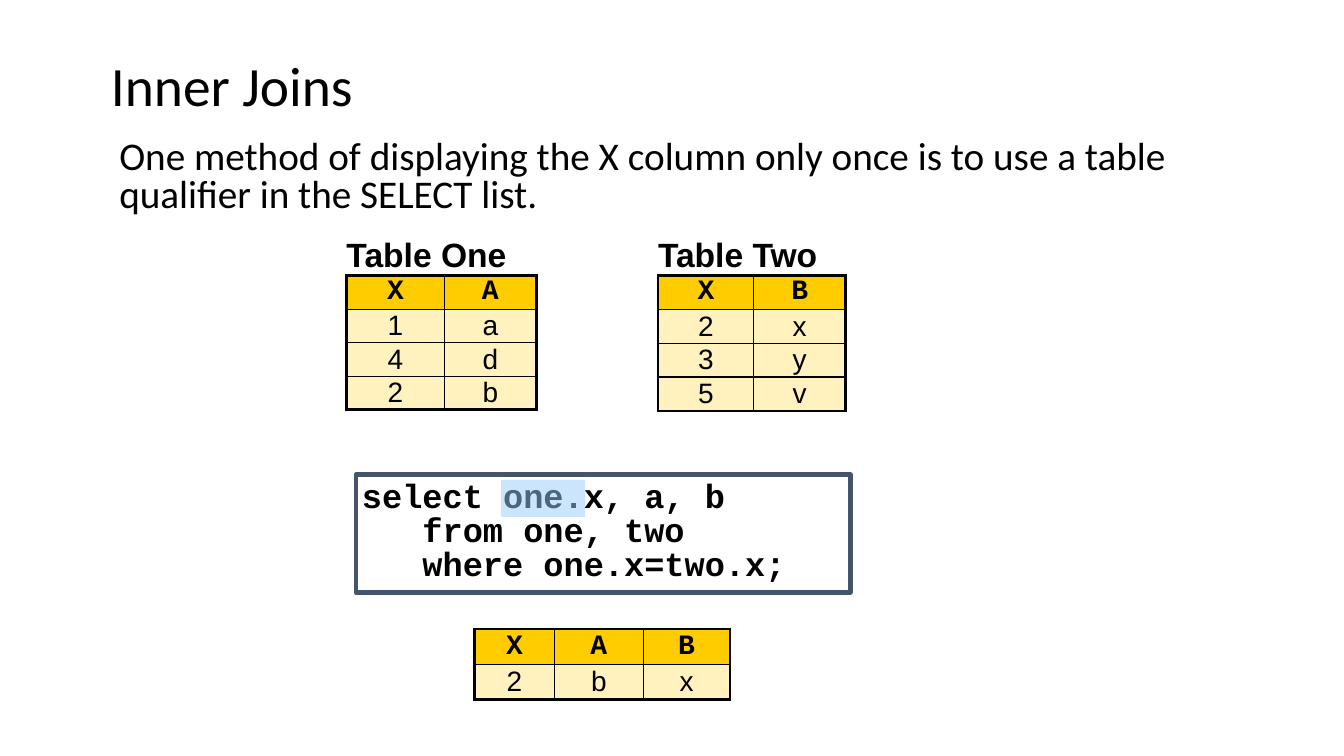
from lxml.etree import SubElement
from pptx import Presentation
from pptx.dml.color import RGBColor
from pptx.enum.shapes import MSO_SHAPE
from pptx.enum.text import MSO_ANCHOR, MSO_AUTO_SIZE, PP_ALIGN
from pptx.oxml.ns import qn
from pptx.util import Pt

BLACK = "000000"
GOLD = "FFCC00"
CREAM = "FFF2BE"


def color(code):
    return RGBColor.from_string(code)


def text(frame, words, size=20, face="Arial", bold=False, align=PP_ALIGN.LEFT,
         space=1.0, anchor=MSO_ANCHOR.TOP):
    frame.word_wrap = True
    frame.vertical_anchor = anchor
    for index, line in enumerate(words.split("\n")):
        para = frame.add_paragraph() if index else frame.paragraphs[0]
        para.alignment = align
        para.line_spacing = space
        para.space_before = Pt(0)
        run = para.add_run()
        run.text = line
        run.font.size = Pt(size)
        run.font.name = face
        run.font.bold = bold
        run.font.color.rgb = color(BLACK)


def place(shape, box):
    shape.left, shape.top, shape.width, shape.height = map(Pt, box)


def holder(shape, box, words, **style):
    place(shape, box)
    shape.text_frame.auto_size = MSO_AUTO_SIZE.NONE
    props = shape.text_frame.paragraphs[0]._p.get_or_add_pPr()
    props.set("marL", "0")
    props.set("indent", "0")
    SubElement(props, qn("a:buNone"))
    text(shape.text_frame, words, face="Calibri", **style)


def rect(slide, box, fill, line=None):
    shape = slide.shapes.add_shape(MSO_SHAPE.RECTANGLE, *map(Pt, box))
    shape.shadow.inherit = False
    shape.fill.solid()
    shape.fill.fore_color.rgb = color(fill)
    if line:
        shape.line.color.rgb = color(line)
        shape.line.width = Pt(3)
    else:
        shape.line.fill.background()
    return shape


def border(cell, widths):
    props = cell._tc.get_or_add_tcPr()
    for side, width in zip("LRTB", widths):
        line = SubElement(props, qn(f"a:ln{side}"), w=str(Pt(width)))
        if width:
            fill = SubElement(line, qn("a:solidFill"))
            SubElement(fill, qn("a:srgbClr"), val=BLACK)
        else:
            SubElement(line, qn("a:noFill"))


def inset(cell, side):
    cell.margin_left = cell.margin_right = Pt(side)
    cell.margin_top = cell.margin_bottom = Pt(0)


def grid(slide, left, top, cols, height, caption, rows):
    tall = [28.8] + [height] * len(rows)
    frame = slide.shapes.add_table(len(tall), len(cols), Pt(left), Pt(top),
                                   Pt(sum(cols)), Pt(sum(tall)))
    table = frame.table
    table.first_row = table.horz_banding = False
    for col, width in zip(table.columns, cols):
        col.width = Pt(width)
    for row, size in zip(table.rows, tall):
        row.height = Pt(size)

    for c in range(len(cols)):
        head = table.cell(0, c)
        inset(head, 0)
        border(head, (0, 0, 0, 2.25))
        head.fill.background()
    table.cell(0, 0).merge(table.cell(0, len(cols) - 1))
    if caption:
        text(table.cell(0, 0).text_frame, caption, size=24, bold=True)
    table.cell(0, 0).vertical_anchor = MSO_ANCHOR.MIDDLE

    for r, row in enumerate(rows):
        first = r == 0
        for c, value in enumerate(row):
            cell = table.cell(r + 1, c)
            edges = (c == 0, c == len(cols) - 1, first, r == len(rows) - 1)
            inset(cell, 7.2)
            border(cell, [2.25 if edge else 1 for edge in edges])
            cell.fill.solid()
            cell.fill.fore_color.rgb = color(GOLD if first else CREAM)
            text(cell.text_frame, value, bold=first, align=PP_ALIGN.CENTER,
                 face="Courier New" if first else "Arial")
            cell.vertical_anchor = MSO_ANCHOR.MIDDLE


def code(slide, box, words):
    shape = rect(slide, box, "FFFFFF", line="44546A")
    frame = shape.text_frame
    frame.margin_left = frame.margin_right = Pt(4.5)
    frame.margin_top = frame.margin_bottom = Pt(4.5)
    text(frame, words, size=24, face="Courier New", bold=True, space=0.85)


def marker(slide, box):
    shape = rect(slide, box, "99CCFF")
    tint = shape.fill._xPr.find(qn("a:solidFill"))[0]
    SubElement(tint, qn("a:alpha"), val="50000")


def main():
    deck = Presentation()
    deck.slide_width, deck.slide_height = Pt(960), Pt(540)
    slide = deck.slides.add_slide(deck.slide_layouts[1])
    title, body = slide.placeholders
    holder(title, (72, 36, 888, 54), "Inner Joins", size=39.6, space=0.9,
           anchor=MSO_ANCHOR.MIDDLE)
    holder(body, (78, 97, 802, 65),
           "One method of displaying the X column only once is to use a table "
           "qualifier in the SELECT list.", size=28, space=0.8)
    grid(slide, 339, 420.5, (57, 63.5, 62), 25.2, "", ("XAB", "2bx"))
    grid(slide, 247.5, 168, (70, 65.5), 24, "Table One",
         ("XA", "1a", "4d", "2b"))
    grid(slide, 470, 168, (68.5, 65.5), 24.2, "Table Two",
         ("XB", "2x", "3y", "5v"))
    code(slide, (254, 339, 353.5, 84.25),
         "select one.x, a, b\n   from one, two\n   where one.x=two.x;")
    marker(slide, (358, 342.75, 60, 26.5))
    deck.save("out.pptx")


if __name__ == "__main__":
    main()
